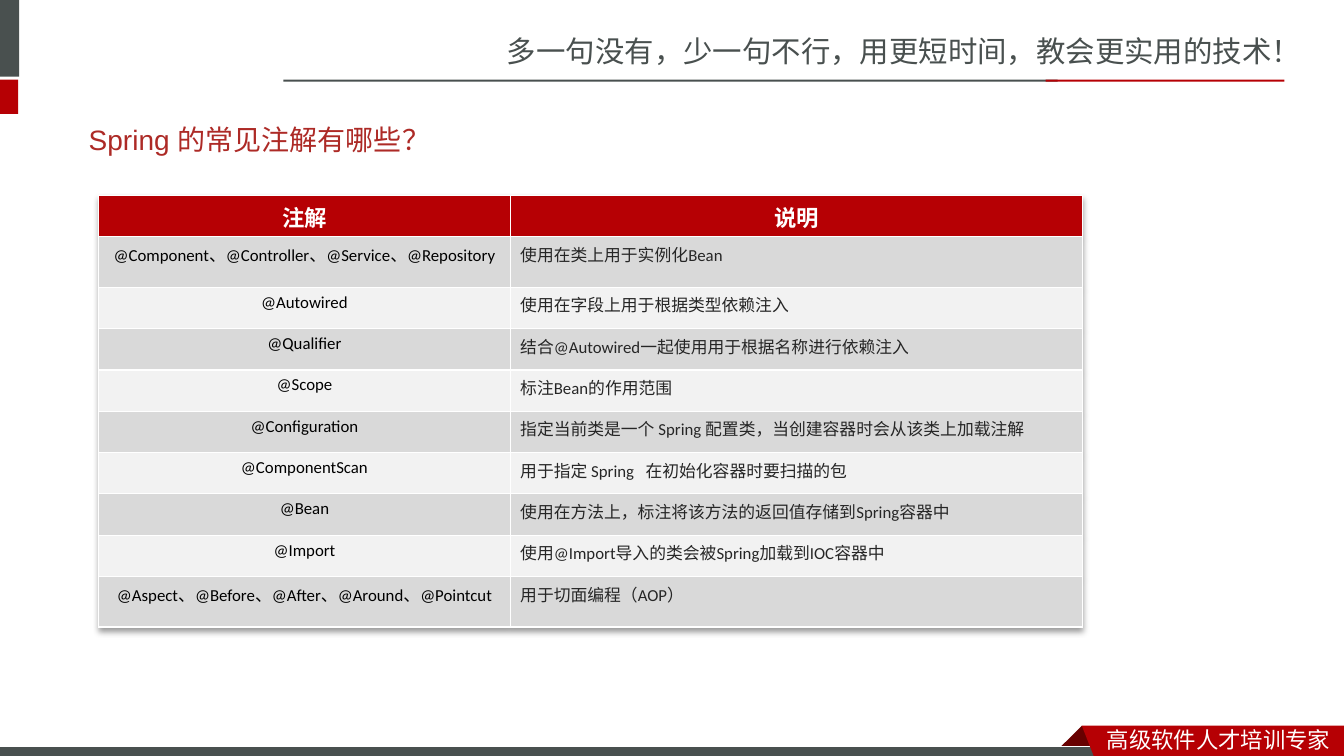
"""Build a slide with a table of common Spring annotations."""
from dataclasses import dataclass

from lxml import etree
from pptx import Presentation
from pptx import util as u
from pptx.dml.color import RGBColor
from pptx.enum import shapes, text
from pptx.oxml import parse_xml
from pptx.oxml.ns import qn

DRAWING_NAMESPACE = "http://schemas.openxmlformats.org/drawingml/2006/main"


@dataclass(frozen=True)
class Theme:
    grey: str = "49504F"
    red: str = "B60004"
    dark_red: str = "680000"
    title_red: str = "AD2A26"
    white: str = "FFFFFF"
    black: str = "000000"
    ink: str = "262626"
    bands: tuple[str, str] = ("D9D9D9", "F2F2F2")
    slogan_size: int = 21
    title_size: int = 20
    heading_size: int = 16
    body_size: int = 12
    chinese_font: str = "Noto Sans CJK SC"
    title_font: str = "Arial"
    table_font: str = "Calibri"


@dataclass(frozen=True)
class Box:
    left: float
    top: float
    width: float
    height: float

    def lengths(self) -> tuple:
        return tuple(u.Inches(value) for value in (self.left, self.top, self.width, self.height))


@dataclass(frozen=True)
class Bar:
    box: Box
    color: str
    outline: str | None = None


@dataclass(frozen=True)
class Ribbon:
    points: tuple[tuple[float, float], ...]
    color: str


@dataclass(frozen=True)
class Label:
    box: Box
    wording: str
    size: int
    color: str


@dataclass(frozen=True)
class Annotation:
    names: str
    meaning: str


THEME = Theme()
BARS = (
    Bar(Box(-0.06, 0, 0.25, 0.76), THEME.grey),
    Bar(Box(-0.06, 0.79, 0.24, 0.34), THEME.red),
    Bar(Box(2.81, 0.79, 7.68, 0.02), THEME.grey),
    Bar(Box(10.37, 0.79, 2.37, 0.02), THEME.red),
)
FOOTER_BAR = Bar(Box(-0.01, 7.41, 11, 0.12), THEME.grey, THEME.white)
FOLD = Ribbon(((10.73, 7.2), (10.95, 7.42), (10.94, 7.43), (10.52, 7.43), (10.51, 7.42)), THEME.dark_red)
BANNER = Ribbon(((10.73, 7.2), (13.33, 7.2), (13.33, 7.54), (10.86, 7.53)), THEME.red)
LABELS = (
    Label(Box(4.93, 0.28, 8.41, 0.47), "多一句没有，少一句不行，用更短时间，教会更实用的技术！",
          THEME.slogan_size, THEME.grey),
    Label(Box(10.88, 7.15, 2.45, 0.37), "高级软件人才培训专家", THEME.heading_size, THEME.white),
)
TITLE_BOX = Box(0.78, 1.1, 11.7, 0.57)
TABLE_BOX = Box(0.98, 1.94, 9.76, 4.1)
COLUMN_WIDTHS = (4.08, 5.68)
ROW_HEIGHT = 0.41
HEADINGS = Annotation("注解", "说明")
ANNOTATIONS = (
    Annotation("@Component、@Controller、@Service、@Repository", "使用在类上用于实例化Bean"),
    Annotation("@Autowired", "使用在字段上用于根据类型依赖注入"),
    Annotation("@Qualifier", "结合@Autowired一起使用用于根据名称进行依赖注入"),
    Annotation("@Scope", "标注Bean的作用范围"),
    Annotation("@Configuration", "指定当前类是一个 Spring 配置类，当创建容器时会从该类上加载注解"),
    Annotation("@ComponentScan", "用于指定 Spring   在初始化容器时要扫描的包"),
    Annotation("@Bean", "使用在方法上，标注将该方法的返回值存储到Spring容器中"),
    Annotation("@Import", "使用@Import导入的类会被Spring加载到IOC容器中"),
    Annotation("@Aspect、@Before、@After、@Around、@Pointcut", "用于切面编程（AOP）"),
)


def add_run(paragraph, wording: str, size: int, color: str, font: str, bold: bool = False) -> None:
    run = paragraph.add_run()
    run.text = wording
    run.font.size = u.Pt(size)
    run.font.bold = bold
    run.font.name = font
    run.font.color.rgb = RGBColor.from_string(color)
    latin = run.font._element.find(qn("a:latin"))
    east_asian = etree.Element(qn("a:ea"), typeface=THEME.chinese_font)
    latin.addnext(east_asian)


def paint(shape, color: str, outline: str | None = None) -> None:
    shape.shadow.inherit = False
    shape.fill.solid()
    shape.fill.fore_color.rgb = RGBColor.from_string(color)
    if outline:
        shape.line.color.rgb = RGBColor.from_string(outline)
        shape.line.width = u.Pt(0.75)
    else:
        shape.line.fill.background()


def add_bar(slide, bar: Bar) -> None:
    shape = slide.shapes.add_shape(shapes.MSO_SHAPE.RECTANGLE, *bar.box.lengths())
    paint(shape, bar.color, bar.outline)


def add_ribbon(slide, ribbon: Ribbon) -> None:
    start, *others = [(u.Inches(x), u.Inches(y)) for x, y in ribbon.points]
    builder = slide.shapes.build_freeform(*start)
    builder.add_line_segments(others, close=True)
    paint(builder.convert_to_shape(), ribbon.color)


def add_label(slide, label: Label) -> None:
    frame = slide.shapes.add_textbox(*label.box.lengths()).text_frame
    frame.word_wrap = True
    frame.auto_size = text.MSO_AUTO_SIZE.SHAPE_TO_FIT_TEXT
    add_run(frame.paragraphs[0], label.wording, label.size, label.color, THEME.chinese_font)


def add_title(slide) -> None:
    title = slide.shapes.title
    title.left, title.top, title.width, title.height = TITLE_BOX.lengths()
    title.text_frame.vertical_anchor = text.MSO_ANCHOR.MIDDLE
    paragraph = title.text_frame.paragraphs[0]
    paragraph.alignment = text.PP_ALIGN.LEFT
    add_run(paragraph, "Spring 的常见注解有哪些？", THEME.title_size, THEME.title_red, THEME.title_font)


def fill_cell(cell, wording: str, fill: str, color: str, centred: bool, heading: bool) -> None:
    cell.fill.solid()
    cell.fill.fore_color.rgb = RGBColor.from_string(fill)
    paragraph = cell.text_frame.paragraphs[0]
    paragraph.alignment = text.PP_ALIGN.CENTER if centred else text.PP_ALIGN.LEFT
    size = THEME.heading_size if heading else THEME.body_size
    add_run(paragraph, wording, size, color, THEME.table_font, heading)


def add_table_shadow(table) -> None:
    effects = parse_xml(
        f'<a:effectLst xmlns:a="{DRAWING_NAMESPACE}">'
        '<a:outerShdw blurRad="50800" dist="38100" dir="5400000" algn="t" rotWithShape="0">'
        '<a:prstClr val="black"><a:alpha val="40000"/></a:prstClr></a:outerShdw></a:effectLst>')
    table._tbl.tblPr.insert(0, effects)


def add_annotation_table(slide) -> None:
    rows = (HEADINGS, *ANNOTATIONS)
    table = slide.shapes.add_table(len(rows), len(COLUMN_WIDTHS), *TABLE_BOX.lengths()).table
    add_table_shadow(table)
    for column, width in zip(table.columns, COLUMN_WIDTHS):
        column.width = u.Inches(width)
    for index, annotation in enumerate(rows):
        table.rows[index].height = u.Inches(ROW_HEIGHT)
        heading = index == 0
        fill = THEME.red if heading else THEME.bands[(index - 1) % 2]
        name_color, meaning_color = (THEME.white, THEME.white) if heading else (THEME.black, THEME.ink)
        fill_cell(table.cell(index, 0), annotation.names, fill, name_color, True, heading)
        fill_cell(table.cell(index, 1), annotation.meaning, fill, meaning_color, heading, heading)


def main() -> None:
    presentation = Presentation()
    presentation.slide_width, presentation.slide_height = u.Inches(13.33), u.Inches(7.5)
    slide = presentation.slides.add_slide(presentation.slide_layouts.get_by_name("Title Only"))
    for bar in BARS:
        add_bar(slide, bar)
    add_ribbon(slide, FOLD)
    add_bar(slide, FOOTER_BAR)
    add_ribbon(slide, BANNER)
    for label in LABELS:
        add_label(slide, label)
    add_title(slide)
    add_annotation_table(slide)
    presentation.save("out.pptx")


if __name__ == "__main__":
    main()
